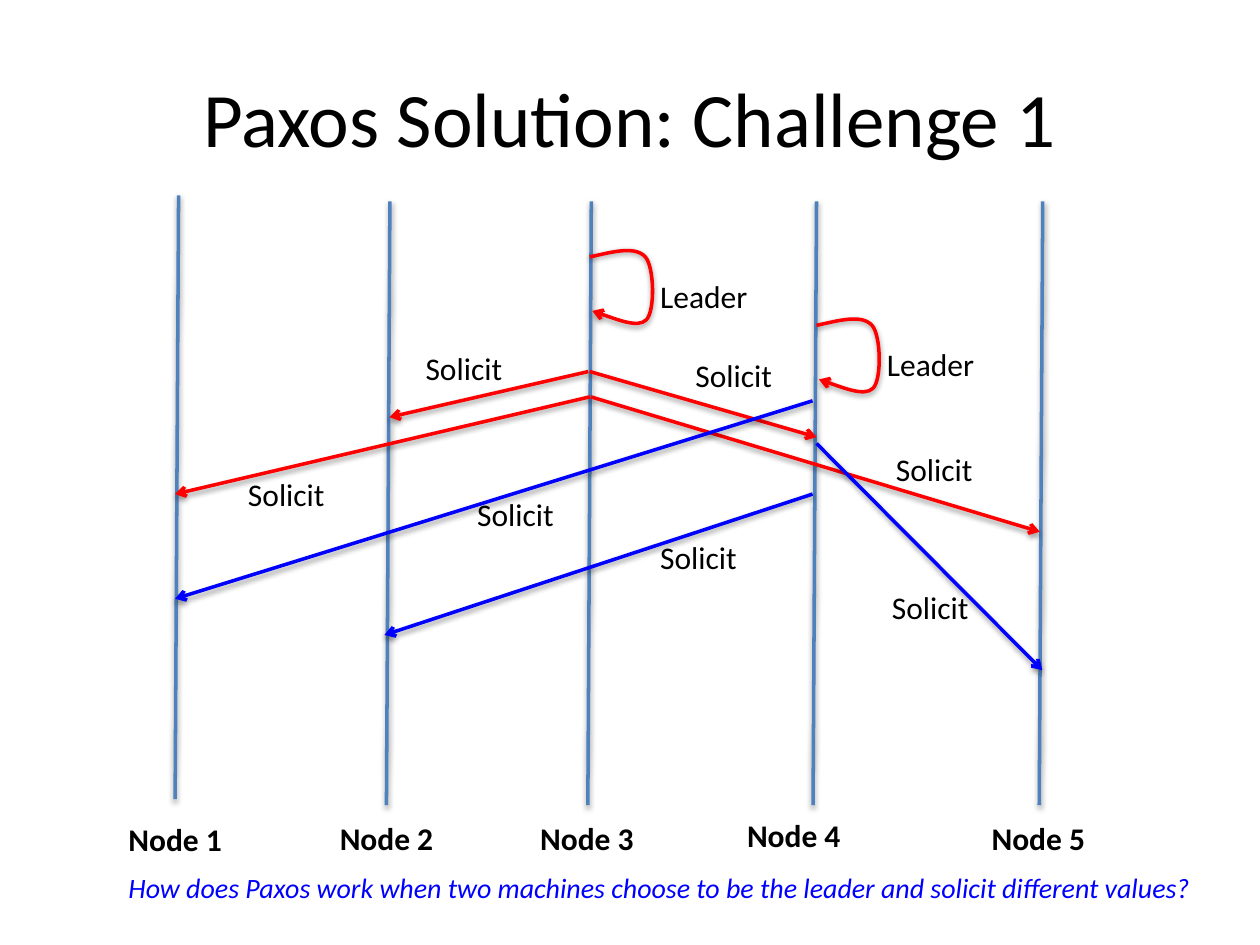
from lxml import etree
from pptx import Presentation
from pptx import util as u
from pptx.dml.color import RGBColor
from pptx.enum import shapes, text
from pptx.oxml import parse_xml
from pptx.oxml.ns import nsdecls, qn

# Content: all lengths in centimetres
COLORS = {"black": "000000", "red": "FF0000", "blue": "0000FF", "node": "4F81BD"}
TITLE = "Paxos Solution: Challenge 1"
QUESTION = ("How does Paxos work when two machines choose to be the leader "
            "and solicit different values?")

# name, line top (x, y), label (left, top)
NODES = [
    ("Node 1", (3.6, 3.94), (2.34, 16.41)),
    ("Node 2", (7.86, 4.06), (6.6, 16.38)),
    ("Node 3", (11.92, 4.06), (10.64, 16.38)),
    ("Node 4", (16.46, 4.06), (14.81, 16.33)),
    ("Node 5", (21.02, 4.06), (19.74, 16.38)),
]
NODE_LEAN, NODE_LENGTH = 0.07, 12.17

# colour, start, end, label (left, top)
MESSAGES = [
    ("red", (11.86, 7.49), (7.85, 8.41), (8.33, 6.91)),
    ("red", (11.89, 8.0), (3.53, 9.96), (4.75, 9.45)),
    ("red", (11.89, 7.49), (16.46, 8.81), (13.77, 7.06)),
    ("red", (11.91, 8.0), (20.96, 10.72), (17.81, 8.94)),
    ("blue", (16.38, 8.08), (3.53, 12.07), (9.37, 9.86)),
    ("blue", (16.38, 9.96), (7.75, 12.8), (13.06, 10.72)),
    ("blue", (16.46, 8.94), (21.01, 13.51), (17.73, 11.73)),
]

# loop (left, top), label (left, top)
LEADERS = [((11.89, 5.05), (13.06, 5.46)), ((16.46, 6.43), (17.63, 6.83))]
LOOP_SIZE = (1.27, 1.45)
LOOP_START = (0, 0.13)
LOOP_CURVES = [
    [(0.46, 0.03), (0.91, -0.1), (1.12, 0.13)],
    [(1.3, 0.33), (1.32, 1.22), (1.14, 1.4)],
    [(0.97, 1.57), (0.05, 1.22), (0.05, 1.22)],
]
LABEL_HEIGHT = 1.02


def rgb(name):
    return RGBColor.from_string(COLORS[name])


def write(frame, words, size=18, color="black", bold=False, italic=False, align=None):
    para = frame.paragraphs[0]
    para.alignment = align
    span = para.add_run()
    span.text = words
    font = span.font
    font.name, font.size = "Calibri", u.Pt(size)
    font.bold, font.italic = bold, italic
    font.color.rgb = rgb(color)


def add_label(slide, words, place, width, height=LABEL_HEIGHT, **style):
    box = slide.shapes.add_textbox(*map(u.Cm, (*place, width, height)))
    box.text_frame.word_wrap = False
    box.text_frame.auto_size = text.MSO_AUTO_SIZE.SHAPE_TO_FIT_TEXT
    write(box.text_frame, words, **style)


def style_line(shape, color, arrow=True):
    shape.line.color.rgb = rgb(color)
    shape.line.width = u.Pt(2)
    properties = shape.element.spPr
    if arrow:
        outline = properties.find(qn("a:ln"))
        etree.SubElement(outline, qn("a:tailEnd"), type="arrow")
    # soft shadow straight below the line
    properties.append(parse_xml(
        f'<a:effectLst {nsdecls("a")}><a:outerShdw blurRad="40000" dist="20000" '
        'dir="5400000" rotWithShape="0"><a:srgbClr val="000000">'
        '<a:alpha val="38000"/></a:srgbClr></a:outerShdw></a:effectLst>'))


def add_line(slide, start, end, color, arrow=True):
    line = slide.shapes.add_connector(
        shapes.MSO_CONNECTOR.STRAIGHT, *map(u.Cm, (*start, *end)))
    style_line(line, color, arrow)


def add_loop(slide, place):
    width, height = map(u.Cm, LOOP_SIZE)
    builder = slide.shapes.build_freeform(0, 0)
    builder.add_line_segments([(width, height)], close=False)
    loop = builder.convert_to_shape(*map(u.Cm, place))
    # the builder has straight segments only, so put the curves in their place
    outline = next(loop.element.iter(qn("a:path")))
    for segment in list(outline):
        outline.remove(segment)
    steps = [("a:moveTo", [LOOP_START])]
    steps += [("a:cubicBezTo", points) for points in LOOP_CURVES]
    for tag, points in steps:
        step = etree.SubElement(outline, qn(tag))
        for x, y in points:
            etree.SubElement(step, qn("a:pt"), x=str(u.Cm(x)), y=str(u.Cm(y)))
    loop.fill.background()
    style_line(loop, "red")


def main():
    deck = Presentation()
    deck.slide_width, deck.slide_height = u.Cm(25.4), u.Cm(19.05)
    page = deck.slides.add_slide(deck.slide_layouts[5])

    # Title
    title = page.shapes.title
    title.left, title.top, title.width, title.height = map(
        u.Cm, (1.27, 0.76, 22.86, 3.18))
    title.text_frame.vertical_anchor = text.MSO_ANCHOR.MIDDLE
    write(title.text_frame, TITLE, size=44, align=text.PP_ALIGN.CENTER)

    # Node timelines
    for name, (x, y), place in NODES:
        add_line(page, (x, y), (x - NODE_LEAN, y + NODE_LENGTH), "node", arrow=False)
        add_label(page, name, place, 2.41, bold=True)

    # Leader elections
    for loop_place, label_place in LEADERS:
        add_loop(page, loop_place)
        add_label(page, "Leader", label_place, 2.31)

    # Solicit messages
    for color, start, end, place in MESSAGES:
        add_line(page, start, end, color)
        add_label(page, "Solicit", place, 2.08)

    # Question
    add_label(page, QUESTION, (2.34, 17.42), 22.23, 1.63,
              size=16, color="blue", italic=True)
    deck.save("out.pptx")


if __name__ == "__main__":
    main()
